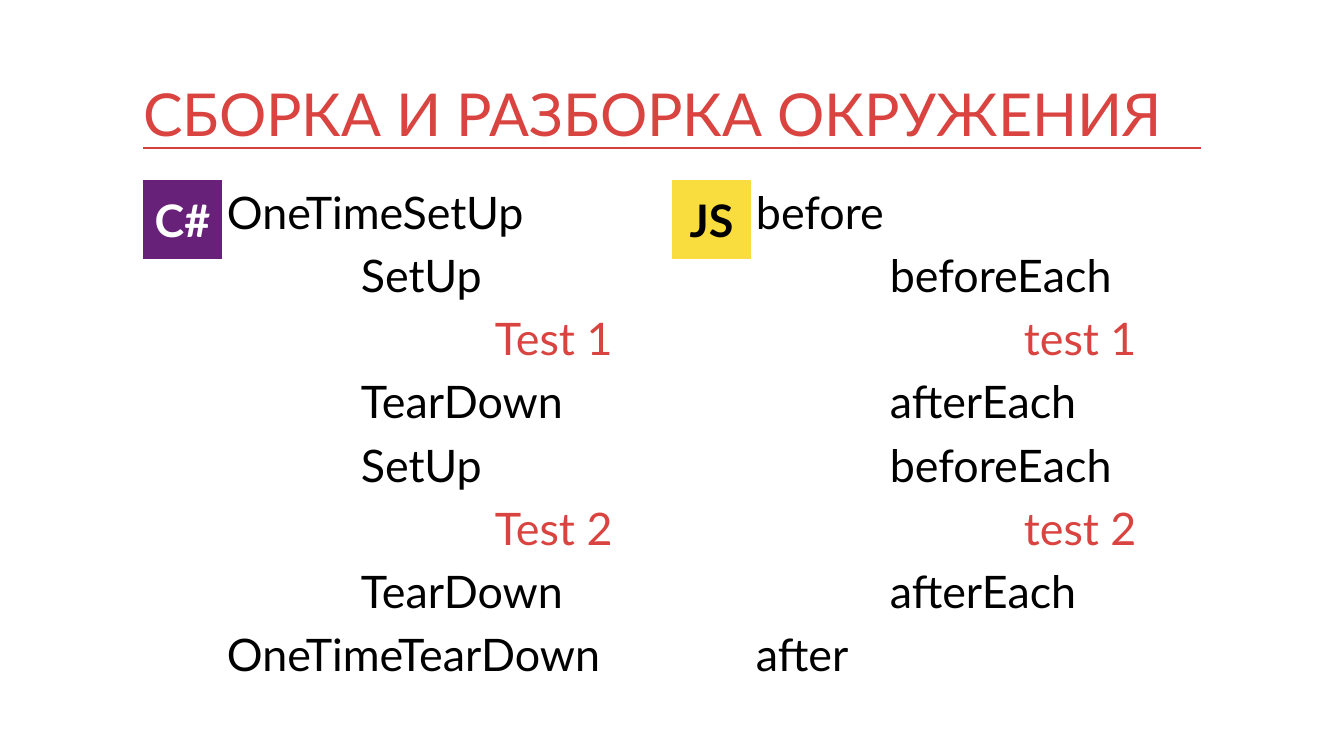
from lxml import etree
from pptx import Presentation
from pptx.dml.color import RGBColor
from pptx.enum.shapes import MSO_CONNECTOR, MSO_SHAPE
from pptx.enum.text import MSO_ANCHOR, MSO_AUTO_SIZE, PP_ALIGN
from pptx.oxml.ns import qn
from pptx.util import Pt

RECTANGLE = MSO_SHAPE.RECTANGLE
STRAIGHT = MSO_CONNECTOR.STRAIGHT
TOP, MIDDLE, BOTTOM = MSO_ANCHOR.TOP, MSO_ANCHOR.MIDDLE, MSO_ANCHOR.BOTTOM
LEFT, CENTER = PP_ALIGN.LEFT, PP_ALIGN.CENTER
NO_FIT = MSO_AUTO_SIZE.NONE

COLORS = {
    "title": "D94440",
    "rule": "D63E3A",
    "text": "000000",
    "white": "FFFFFF",
    "purple": "672179",
    "yellow": "F9DD3E",
}
EMU_PER_PIXEL = 914400 / 134.4
TITLE_ONLY = 5


def px(value):
    return round(value * EMU_PER_PIXEL)


def rgb(name):
    return RGBColor.from_string(COLORS[name])


class SlideBuilder:
    font_name = "Lato"
    body_size = 24
    title_size = 31.7
    inset = 5
    tab = 134
    line_gap = 5

    def __init__(self, presentation):
        self.slide = presentation.slides.add_slide(presentation.slide_layouts[TITLE_ONLY])

    def format_frame(self, frame, inset, anchor):
        frame.word_wrap = True
        frame.auto_size = NO_FIT
        frame.vertical_anchor = anchor
        frame.margin_left = frame.margin_right = px(inset)
        frame.margin_top = frame.margin_bottom = px(inset)

    def set_text(self, paragraph, text, color, size, align=LEFT, bold=False):
        paragraph.text = text
        paragraph.alignment = align
        font = paragraph.font
        font.name = self.font_name
        font.size = Pt(size)
        font.bold = bold
        font.color.rgb = rgb(color)

    def title(self, text, left, top, width, height):
        shape = self.slide.shapes.title
        shape.left, shape.top = px(left), px(top)
        shape.width, shape.height = px(width), px(height)
        self.format_frame(shape.text_frame, 0, BOTTOM)
        self.set_text(shape.text_frame.paragraphs[0], text, "title", self.title_size)

    def rule(self, left, right, y):
        line = self.slide.shapes.add_connector(STRAIGHT, px(left), px(y), px(right), px(y))
        line.line.color.rgb = rgb("rule")
        line.line.width = Pt(1)
        etree.SubElement(line._element.spPr, qn("a:effectLst"))

    def badge(self, text, left, top, size, fill, color):
        shape = self.slide.shapes.add_shape(RECTANGLE, px(left), px(top), px(size), px(size))
        shape.shadow.inherit = False
        shape.fill.solid()
        shape.fill.fore_color.rgb = rgb(fill)
        shape.line.fill.background()
        self.format_frame(shape.text_frame, self.inset, MIDDLE)
        self.set_text(shape.text_frame.paragraphs[0], text, color, self.body_size, CENTER, True)

    def outline(self, lines, left, top, width, height):
        box = self.slide.shapes.add_textbox(px(left), px(top), px(width), px(height))
        frame = box.text_frame
        self.format_frame(frame, self.inset, TOP)
        for index, (text, depth) in enumerate(lines):
            paragraph = frame.add_paragraph() if index else frame.paragraphs[0]
            color = "title" if depth == 2 else "text"
            self.set_text(paragraph, text, color, self.body_size)
            paragraph.space_before = Pt(self.line_gap if index else 0)
            properties = paragraph._p.get_or_add_pPr()
            properties.set("marL", str(px(depth * self.tab)))
            properties.set("indent", "0")


def call_order(once_before, before, test, after, once_after):
    lines = [(once_before, 0)]
    for number in (1, 2):
        lines += [(before, 1), (f"{test} {number}", 2), (after, 1)]
    return lines + [(once_after, 0)]


presentation = Presentation()
presentation.slide_width = px(1344)
presentation.slide_height = px(756)
builder = SlideBuilder(presentation)

MARGIN, COLUMN_STEP, COLUMN_TOP, BADGE = 143, 529, 180, 79
builder.title("СБОРКА И РАЗБОРКА ОКРУЖЕНИЯ", MARGIN, 60, 2 * COLUMN_STEP, 88)
builder.rule(MARGIN, MARGIN + 2 * COLUMN_STEP, 148)

columns = [
    ("C#", "purple", "white",
     call_order("OneTimeSetUp", "SetUp", "Test", "TearDown", "OneTimeTearDown")),
    ("JS", "yellow", "text",
     call_order("before", "beforeEach", "test", "afterEach", "after")),
]
for index, (language, fill, color, lines) in enumerate(columns):
    left = MARGIN + index * COLUMN_STEP
    builder.outline(lines, left + BADGE, COLUMN_TOP, 450, 516)
    builder.badge(language, left, COLUMN_TOP, BADGE, fill, color)

presentation.save("out.pptx")
